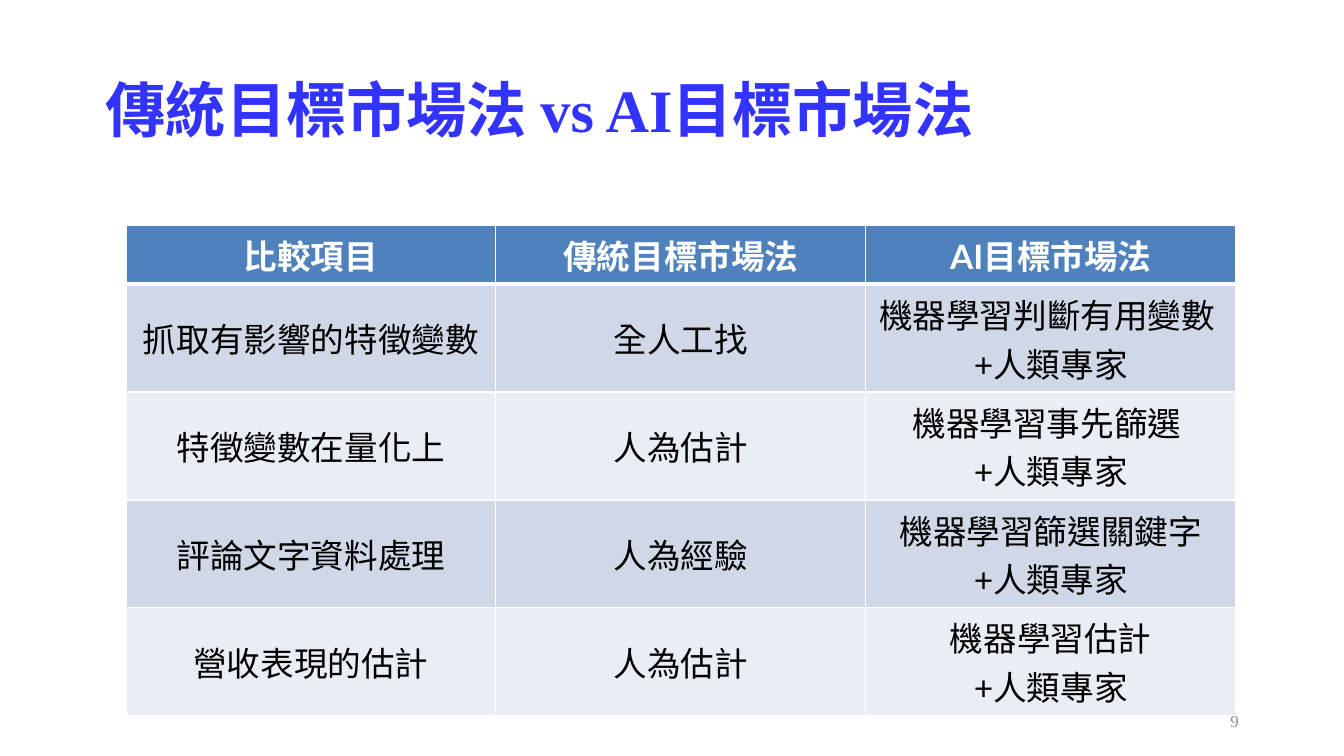
"""Build the slide comparing traditional and AI target market methods."""
from lxml import etree
from pptx import Presentation
from pptx.dml.color import RGBColor
from pptx.enum import lang, text
from pptx.oxml import ns
from pptx.util import Inches, Pt

TITLE = "傳統目標市場法 vs AI目標市場法"
PAGE_NUMBER = "9"
HEADER = ("比較項目", "傳統目標市場法", "AI目標市場法")
ROWS = (
    ("抓取有影響的特徵變數", "全人工找", "機器學習判斷有用變數 \n+人類專家"),
    ("特徵變數在量化上", "人為估計", "機器學習事先篩選 \n+人類專家"),
    ("評論文字資料處理", "人為經驗", "機器學習篩選關鍵字\n+人類專家"),
    ("營收表現的估計", "人為估計", "機器學習估計\n+人類專家"),
)

BLUE = RGBColor(0x33, 0x33, 0xFF)
GRAY = RGBColor(0x8C, 0x8C, 0x8C)
WHITE = RGBColor(0xFF, 0xFF, 0xFF)
BLACK = RGBColor(0x00, 0x00, 0x00)
HEADER_FILL = RGBColor(0x4F, 0x81, 0xBD)
BAND_FILLS = (RGBColor(0xD0, 0xD8, 0xE8), RGBColor(0xE9, 0xED, 0xF4))

SERIF, SANS = "Times New Roman", "Lato"
TABLE_LEFT, TABLE_TOP, COLUMN_WIDTH = 1.25, 2.24, 3.67
HEADER_HEIGHT, ROW_HEIGHT = 0.58, 1.07


def style(frame, font_name, size, color, bold, align):
    for para in frame.paragraphs:
        para.alignment = align
        for span in para.runs:
            font = span.font
            font.name, font.size, font.bold = font_name, Pt(size), bold
            font.color.rgb = color
            font.language_id = lang.MSO_LANGUAGE_ID.TRADITIONAL_CHINESE


def add_text(page, words, place, *look):
    frame = page.shapes.add_textbox(*map(Inches, place)).text_frame
    frame.word_wrap = True
    frame.vertical_anchor = text.MSO_ANCHOR.MIDDLE
    frame.margin_left = frame.margin_right = Inches(0.13)
    frame.margin_top = frame.margin_bottom = Inches(0.07)
    frame.text = words
    style(frame, *look)
    return frame


def add_borders(cell, widths):
    properties = cell._tc.get_or_add_tcPr()
    for side, width in widths.items():
        line = etree.SubElement(properties, ns.qn(f"a:ln{side}"), w=str(Pt(width)))
        fill = etree.SubElement(line, ns.qn("a:solidFill"))
        etree.SubElement(fill, ns.qn("a:srgbClr"), val=str(WHITE))


def add_comparison(page):
    content = (HEADER, *ROWS)
    columns = len(HEADER)
    height = HEADER_HEIGHT + ROW_HEIGHT * len(ROWS)
    place = (TABLE_LEFT, TABLE_TOP, COLUMN_WIDTH * columns, height)
    table = page.shapes.add_table(len(content), columns, *map(Inches, place)).table
    for column in table.columns:
        column.width = Inches(COLUMN_WIDTH)
    for index, words in enumerate(content):
        heading = index == 0
        table.rows[index].height = Inches(HEADER_HEIGHT if heading else ROW_HEIGHT)
        for cell, entry in zip(table.rows[index].cells, words):
            cell.text = entry
            cell.vertical_anchor = text.MSO_ANCHOR.TOP if heading else text.MSO_ANCHOR.MIDDLE
            add_borders(cell, {"L": 1, "R": 1, "T": 3 if index == 1 else 1, "B": 3 if heading else 1})
            cell.fill.solid()
            cell.fill.fore_color.rgb = HEADER_FILL if heading else BAND_FILLS[(index - 1) % 2]
            style(cell.text_frame, SANS, 24, WHITE if heading else BLACK, heading, text.PP_ALIGN.CENTER)


def main():
    deck = Presentation()
    deck.slide_width, deck.slide_height = Inches(40 / 3), Inches(7.5)
    page = deck.slides.add_slide(deck.slide_layouts[6])
    title = add_text(page, TITLE, (0.92, 0.4, 11.5, 1.45), SERIF, 43, BLUE, True, text.PP_ALIGN.LEFT)
    title.paragraphs[0].line_spacing = 0.9
    add_comparison(page)
    add_text(page, PAGE_NUMBER, (9.42, 6.95, 3, 0.4), SERIF, 12, GRAY, False, text.PP_ALIGN.RIGHT)
    deck.save("out.pptx")


if __name__ == "__main__":
    main()
